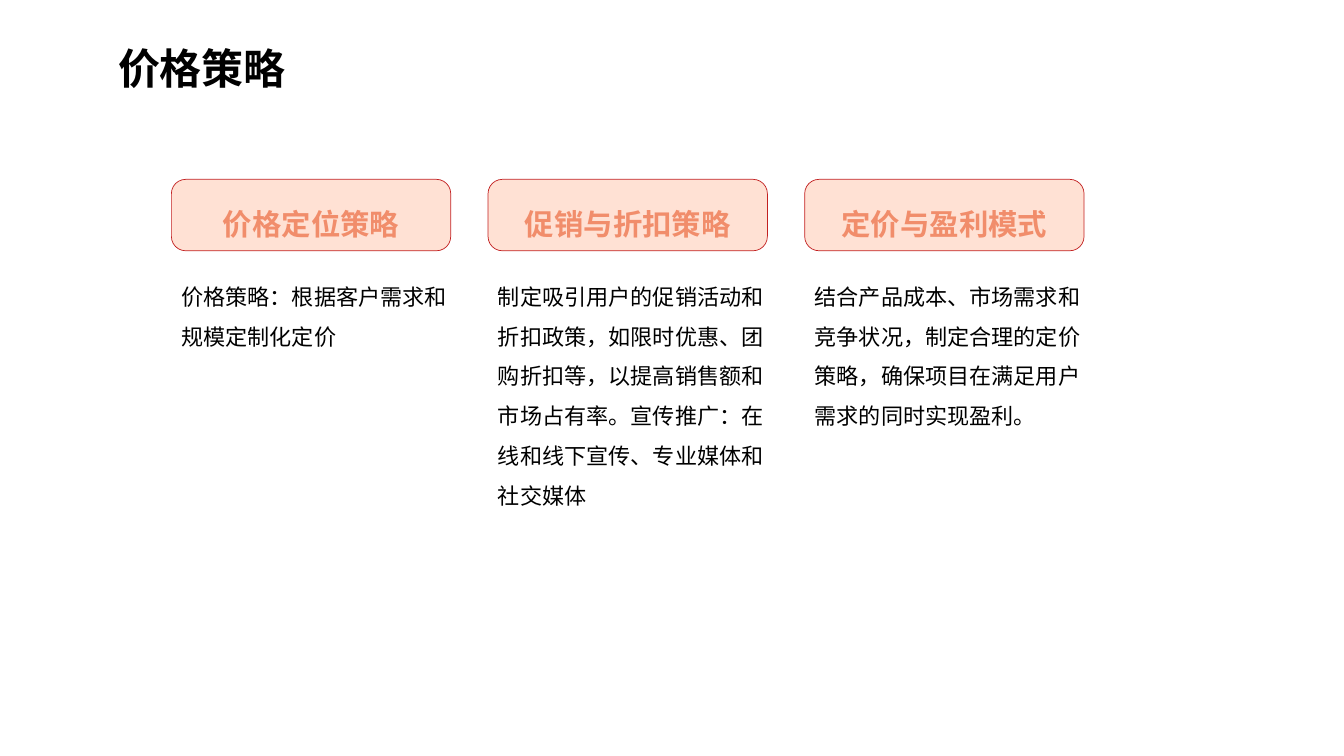
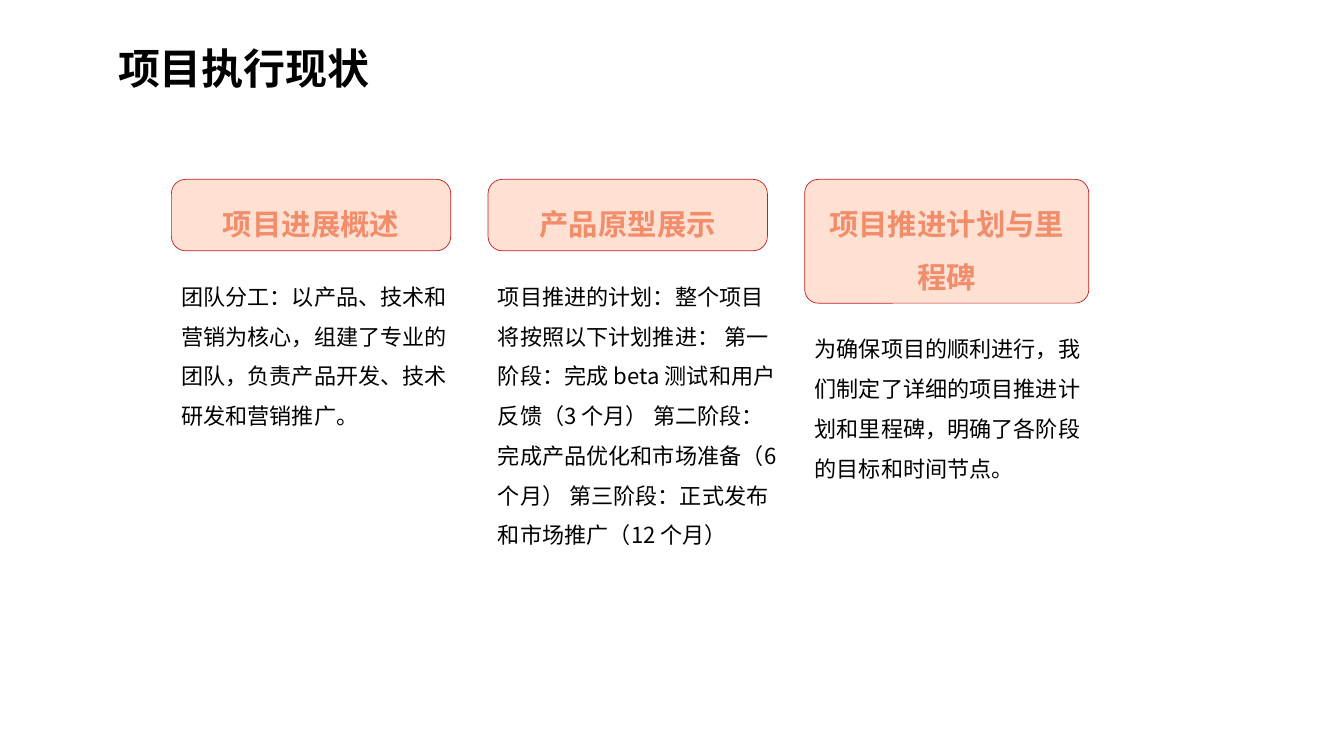
from dataclasses import dataclass

from lxml.etree import SubElement as SubEl
from pptx import Presentation as Deck
from pptx.dml.color import RGBColor
from pptx.enum.lang import MSO_LANGUAGE_ID as Lang
from pptx.enum.shapes import MSO_SHAPE as Form
from pptx.enum.text import MSO_ANCHOR as Anchor, MSO_AUTO_SIZE as Fit, PP_ALIGN as Align
from pptx.oxml.ns import qn
from pptx.slide import Slide
from pptx.text.text import TextFrame as Frame
from pptx.util import Cm, Pt

# Shared look
BLACK = RGBColor(0x00, 0x00, 0x00)
PEACH = RGBColor(0xFF, 0xE1, 0xD4)
CORAL = RGBColor(0xF1, 0x8D, 0x6B)
RED = RGBColor(0xC2, 0x20, 0x20)
FONT = "Noto Sans CJK SC"

# Column grid, in centimetres
LEFT, TOP, STEP = 4.32, 4.52, 7.98
GAP, BODY_W = 0.36, 7.62


@dataclass(frozen=True)
class Style:
    size: float
    color: RGBColor
    bold: bool = False
    align: Align = Align.LEFT


@dataclass(frozen=True)
class Head:
    wide: float
    high: float
    round: float


@dataclass(frozen=True)
class Card:
    head: str
    body: str
    lines: int
    kind: Head


@dataclass(frozen=True)
class Page:
    title: str
    cards: tuple[Card, ...]


TITLE = Style(30, BLACK, bold=True)
HEAD = Style(21, CORAL, bold=True, align=Align.CENTER)
BODY = Style(15.8, BLACK)

SHORT = Head(7.04, 1.8, 0.2)
TALL = Head(7.16, 3.12, 0.11)

PAGES = (
    Page("价格策略", (
        Card("价格定位策略", "价格策略：根据客户需求和规模定制化定价", 2, SHORT),
        Card("促销与折扣策略",
             "制定吸引用户的促销活动和折扣政策，如限时优惠、团购折扣等，"
             "以提高销售额和市场占有率。宣传推广：在线和线下宣传、专业媒体和社交媒体",
             6, SHORT),
        Card("定价与盈利模式",
             "结合产品成本、市场需求和竞争状况，制定合理的定价策略，"
             "确保项目在满足用户需求的同时实现盈利。", 4, SHORT),
    )),
    Page("项目执行现状", (
        Card("项目进展概述",
             "团队分工：以产品、技术和营销为核心，组建了专业的团队，"
             "负责产品开发、技术研发和营销推广。", 4, SHORT),
        Card("产品原型展示",
             "项目推进的计划：整个项目将按照以下计划推进： "
             "第一阶段：完成 beta 测试和用户反馈（3 个月） "
             "第二阶段：完成产品优化和市场准备（6 个月） "
             "第三阶段：正式发布和市场推广（12 个月）", 7, SHORT),
        Card("项目推进计划与里程碑",
             "为确保项目的顺利进行，我们制定了详细的项目推进计划和里程碑，"
             "明确了各阶段的目标和时间节点。", 4, TALL),
    )),
)


def write(frame: Frame, text: str, style: Style) -> None:
    """Fill a frame with one styled run."""
    frame.word_wrap = True
    frame.auto_size = Fit.SHAPE_TO_FIT_TEXT
    frame.vertical_anchor = Anchor.MIDDLE
    para = frame.paragraphs[0]
    para.alignment = style.align
    para.line_spacing = 1.5
    para.space_before = Pt(0)
    run = para.add_run()
    run.text = text
    font = run.font
    font.size, font.bold, font.name = Pt(style.size), style.bold, FONT
    font.color.rgb = style.color
    font.language_id = Lang.SIMPLIFIED_CHINESE
    SubEl(run._r.get_or_add_rPr(), qn("a:ea"), typeface=FONT)


def add_title(slide: Slide, text: str) -> None:
    title = slide.shapes.title
    title.left, title.top = Cm(2.72), Cm(0.3)
    title.width, title.height = Cm(26.04), Cm(2.16)
    write(title.text_frame, text, TITLE)


def add_card(slide: Slide, card: Card, left: float) -> None:
    kind = card.kind
    # Body sits a fixed gap below its head, one centimetre per line
    box = slide.shapes.add_textbox(
        Cm(left), Cm(TOP + kind.high + GAP), Cm(BODY_W), Cm(card.lines + 0.26))
    write(box.text_frame, card.body, BODY)
    # Rounded head
    head = slide.shapes.add_shape(
        Form.ROUNDED_RECTANGLE, Cm(left), Cm(TOP), Cm(kind.wide), Cm(kind.high))
    head.adjustments[0] = kind.round
    head.shadow.inherit = False
    head.fill.solid()
    head.fill.fore_color.rgb = PEACH
    head.line.color.rgb = RED
    head.line.width = Pt(0.5)
    write(head.text_frame, card.head, HEAD)


def main() -> None:
    deck = Deck()
    deck.slide_width, deck.slide_height = Cm(33.87), Cm(19.05)
    plan = deck.slide_layouts.get_by_name("Title Only")
    for page in PAGES:
        slide = deck.slides.add_slide(plan)
        add_title(slide, page.title)
        for col, card in enumerate(page.cards):
            add_card(slide, card, LEFT + col * STEP)
    deck.save("out.pptx")


if __name__ == "__main__":
    main()
